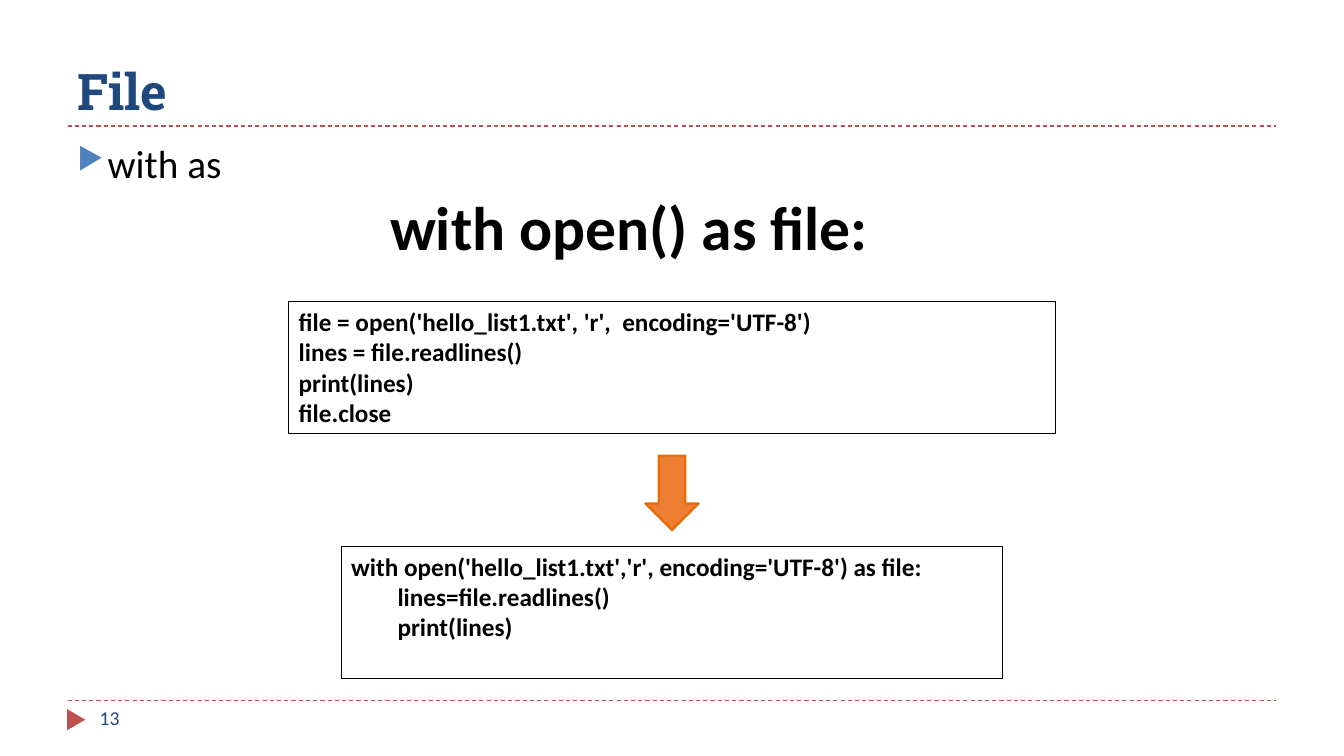
from lxml.etree import SubElement
from pptx import Presentation
from pptx.dml.color import RGBColor
from pptx.enum.dml import MSO_LINE
from pptx.enum.shapes import MSO_CONNECTOR, MSO_SHAPE
from pptx.enum.text import MSO_ANCHOR, PP_ALIGN
from pptx.oxml.ns import qn
from pptx.util import Inches, Pt

COLORS = {
    "navy": "1F497D", "red": "C0504D", "blue": "4F81BD",
    "orange": "ED7D31", "rust": "E46C0A", "black": "000000",
}
WIDTH, HEIGHT = 13.33, 7.5
MARGIN = 0.67
CONTENT = WIDTH - 2 * MARGIN
CENTER = WIDTH / 2


def color(name):
    return RGBColor.from_string(COLORS[name])


def write(shape, lines, size, tint, font="Calibri", bold=False, anchor=MSO_ANCHOR.TOP):
    frame = shape.text_frame
    frame.word_wrap = True
    frame.vertical_anchor = anchor
    frame.text = "\n".join(lines)
    for para in frame.paragraphs:
        para.alignment = PP_ALIGN.LEFT
        for span in para.runs:
            span.font.size = Pt(size)
            span.font.name = font
            span.font.bold = bold
            span.font.color.rgb = color(tint)
    return frame.paragraphs


deck = Presentation()
deck.slide_width, deck.slide_height = Inches(WIDTH), Inches(HEIGHT)
page = deck.slides.add_slide(deck.slide_layouts[6])
shapes = page.shapes

for y in (6.95, 1.25):
    rule = shapes.add_connector(
        MSO_CONNECTOR.STRAIGHT,
        Inches(MARGIN), Inches(y), Inches(WIDTH - MARGIN), Inches(y))
    rule.line.color.rgb = color("red")
    rule.line.width = Pt(0.75)
    rule.line.dash_style = MSO_LINE.DASH
    SubElement(rule._element.spPr, qn("a:effectLst"))

marker = shapes.add_shape(
    MSO_SHAPE.ISOSCELES_TRIANGLE, Inches(0.65), Inches(7.05), Inches(0.21), Inches(0.18))
marker.rotation = 90
marker.shadow.inherit = False
marker.fill.solid()
marker.fill.fore_color.rgb = color("red")
marker.line.fill.background()

title = shapes.add_textbox(Inches(MARGIN), Inches(0.17), Inches(CONTENT), Inches(1.08))
write(title, ["File"], 36, "navy", "Roboto Slab", True, MSO_ANCHOR.BOTTOM)

number = shapes.add_textbox(Inches(0.89), Inches(6.95), Inches(2.89), Inches(0.4))
write(number, ["13"], 14, "navy")

body = shapes.add_textbox(Inches(MARGIN), Inches(1.33), Inches(CONTENT), Inches(5.4))
topic = write(body, ["with as"], 28, "black")[0]
topic.space_before = Pt(6)
properties = topic._p.get_or_add_pPr()
properties.set("marL", str(Inches(0.3)))
properties.set("indent", str(-Inches(0.3)))
bullet_color = SubElement(properties, qn("a:buClr"))
SubElement(bullet_color, qn("a:srgbClr"), val=COLORS["blue"])
SubElement(properties, qn("a:buSzPct"), val="76000")
SubElement(properties, qn("a:buChar"), char="▶")

syntax = shapes.add_textbox(Inches(3.77), Inches(1.83), Inches(5.78), Inches(0.84))
write(syntax, ["with open() as file:"], 44, "black", bold=True)

listings = [
    (5.42, 6.56, [
        (0, "with open('hello_list1.txt','r', encoding='UTF-8') as file:"),
        (1, "lines=file.readlines()"),
        (1, "print(lines)"),
    ]),
    (2.99, 7.6, [
        (0, "file = open('hello_list1.txt', 'r',  encoding='UTF-8')"),
        (0, "lines = file.readlines()"),
        (0, "print(lines)"),
        (0, "file.close"),
    ]),
]
for top, width, code in listings:
    box = shapes.add_shape(
        MSO_SHAPE.RECTANGLE,
        Inches(CENTER - width / 2), Inches(top), Inches(width), Inches(1.31))
    box.shadow.inherit = False
    box.fill.background()
    box.line.color.rgb = color("black")
    box.line.width = Pt(0.75)
    paragraphs = write(box, [text for depth, text in code], 18, "black", bold=True)
    for para, (depth, text) in zip(paragraphs, code):
        para._p.get_or_add_pPr().set("marL", str(Inches(0.46 * depth)))

arrow = shapes.add_shape(
    MSO_SHAPE.DOWN_ARROW, Inches(CENTER - 0.53 / 2), Inches(4.52), Inches(0.53), Inches(0.74))
arrow.shadow.inherit = False
arrow.fill.solid()
arrow.fill.fore_color.rgb = color("orange")
arrow.line.color.rgb = color("rust")
arrow.line.width = Pt(1.5)

deck.save("out.pptx")
